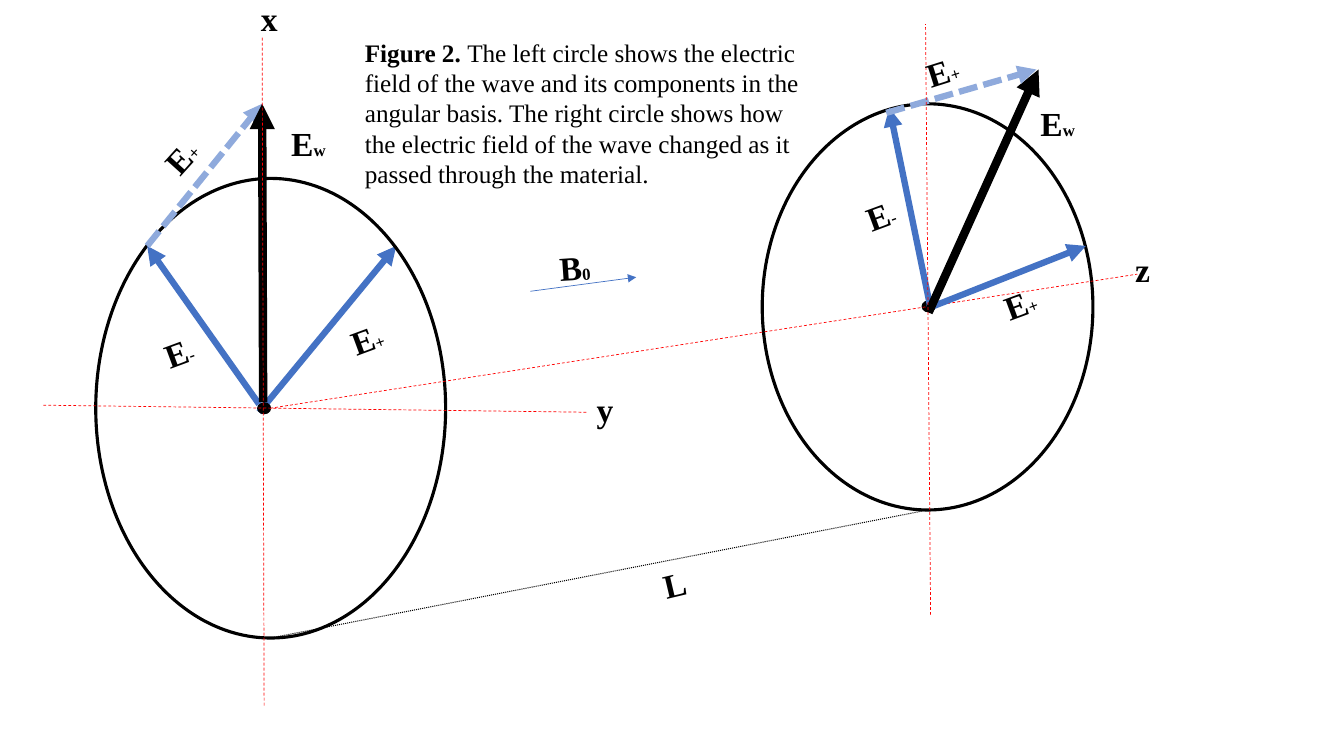
from typing import NamedTuple

from pptx import Presentation
from pptx.dml.color import RGBColor
from pptx.enum.dml import MSO_LINE
from pptx.enum.shapes import MSO_CONNECTOR, MSO_SHAPE
from pptx.enum.text import MSO_AUTO_SIZE, PP_ALIGN
from pptx.oxml.ns import qn
from pptx.slide import Slide
from pptx.util import Inches, Length, Pt
from lxml.etree import SubElement

COLUMNS, ROWS = 13.33, 7.5  # grid cells of one inch
CELL = Inches(1)
FONT = "Times New Roman"
BLACK, RED, BLUE, PALE_BLUE = "000000", "FF0000", "4472C4", "8FAADC"
LABEL_HEIGHT = 0.5


class Stroke(NamedTuple):
    start: tuple[float, float]
    end: tuple[float, float]
    color: str
    points: float
    dash: MSO_LINE | None = None
    arrow: bool = False


class Oval(NamedTuple):
    left: float
    top: float
    width: float
    height: float
    filled: bool = False


class Label(NamedTuple):
    left: float
    top: float
    width: float
    symbol: str
    index: str = ""
    rotation: float = 0


class Span(NamedTuple):
    text: str
    points: float
    bold: bool = True


def axis(start: tuple[float, float], end: tuple[float, float]) -> Stroke:
    return Stroke(start, end, RED, 0.5, MSO_LINE.DASH)


def component(start: tuple[float, float], end: tuple[float, float]) -> Stroke:
    return Stroke(start, end, BLUE, 4.5, arrow=True)


def shifted(start: tuple[float, float], end: tuple[float, float]) -> Stroke:
    """Dashed component moved to the head of the other one."""
    return Stroke(start, end, PALE_BLUE, 4.5, MSO_LINE.SQUARE_DOT, True)


def total(start: tuple[float, float], end: tuple[float, float]) -> Stroke:
    return Stroke(start, end, BLACK, 6, arrow=True)


BACK_STROKES = [component((2.57, 4.09), (3.93, 2.44))]
OVALS = [
    Oval(0.95, 1.77, 3.47, 4.56),
    Oval(7.56, 1.03, 3.28, 4.03),
    Oval(2.55, 3.99, 0.14, 0.12, filled=True),
    Oval(9.14, 2.98, 0.14, 0.12, filled=True),
]
FRONT_STROKES = [
    Stroke((2.68, 6.33), (9.2, 5.06), BLACK, 0.75, MSO_LINE.ROUND_DOT),
    axis((2.68, 4.05), (11.28, 2.72)),
    component((2.57, 4.01), (1.46, 2.44)),
    shifted((1.46, 2.44), (2.6, 1.03)),
    total((2.61, 3.99), (2.6, 1.03)),
    component((9.23, 3.06), (8.82, 1.07)),
    component((9.2, 3.06), (10.77, 2.44)),
    total((9.21, 3.1), (10.3, 0.69)),
    shifted((8.79, 1.12), (10.28, 0.69)),
    axis((0.43, 4.02), (5.83, 4.09)),
    axis((2.62, 7), (2.6, 0.37)),
    axis((9.23, 6.1), (9.18, 0.24)),
    Stroke((5.26, 2.89), (6.31, 2.75), BLUE, 0.5, arrow=True),
]
LABELS = [
    Label(6.48, 5.55, 0.37, "L", rotation=346.7),
    Label(3.37, 3.04, 0.93, "E", "+", 339.7),
    Label(1.53, 3.22, 0.61, "E", "-", 339.7),
    Label(1.47, 1.15, 0.93, "E", "+", 312.1),
    Label(2.79, 1.17, 0.93, "E", "w"),
    Label(8.49, 1.86, 0.61, "E", "-", 339.7),
    Label(9.85, 2.69, 0.93, "E", "+", 339.7),
    Label(9.08, 0.39, 0.93, "E", "+", 342.4),
    Label(10.22, 0.97, 0.93, "E", "w"),
    Label(2.49, -0.07, 0.37, "x"),
    Label(5.82, 3.81, 0.37, "y"),
    Label(11.16, 2.42, 0.37, "z"),
    Label(5.45, 2.4, 0.53, "B", "0", 356.1),
]
CAPTION = [
    Span("Figure 2. ", 18),
    Span(
        "The left circle shows the electric field of the wave and its components "
        "in the angular basis. The right circle shows how the electric field of "
        "the wave changed as it passed through the material.", 18, bold=False),
]


def cells(*counts: float) -> list[Length]:
    return [Length(round(count * CELL)) for count in counts]


def rgb(color: str) -> RGBColor:
    return RGBColor.from_string(color)


def draw_stroke(page: Slide, stroke: Stroke) -> None:
    connector = page.shapes.add_connector(
        MSO_CONNECTOR.STRAIGHT, *cells(*stroke.start, *stroke.end))
    connector.line.color.rgb = rgb(stroke.color)
    connector.line.width = Pt(stroke.points)
    if stroke.dash is not None:
        connector.line.dash_style = stroke.dash
    properties = connector._element.spPr
    if stroke.arrow:
        SubElement(properties.find(qn("a:ln")), qn("a:tailEnd"), type="triangle")
    SubElement(properties, qn("a:effectLst"))


def draw_oval(page: Slide, oval: Oval) -> None:
    shape = page.shapes.add_shape(
        MSO_SHAPE.OVAL, *cells(oval.left, oval.top, oval.width, oval.height))
    shape.shadow.inherit = False
    if oval.filled:
        shape.fill.solid()
        shape.fill.fore_color.rgb = rgb(BLACK)
        shape.line.fill.background()
    else:
        shape.fill.background()
        shape.line.color.rgb = rgb(BLACK)
        shape.line.width = Pt(2.25)


def draw_text(page: Slide, area: tuple[float, float, float, float],
              spans: list[Span], rotation: float = 0) -> None:
    box = page.shapes.add_textbox(*cells(*area))
    box.rotation = rotation
    box.text_frame.word_wrap = True
    box.text_frame.auto_size = MSO_AUTO_SIZE.SHAPE_TO_FIT_TEXT
    para = box.text_frame.paragraphs[0]
    para.alignment = PP_ALIGN.LEFT
    for span in spans:
        run = para.add_run()
        run.text = span.text
        run.font.name = FONT
        run.font.size = Pt(span.points)
        run.font.bold = span.bold
        run.font.color.rgb = rgb(BLACK)


def draw_label(page: Slide, label: Label) -> None:
    spans = [Span(label.symbol, 24)]
    if label.index:
        spans.append(Span(label.index, 12))
    area = (label.left, label.top, label.width, LABEL_HEIGHT)
    draw_text(page, area, spans, label.rotation)


def main() -> None:
    deck = Presentation()
    deck.slide_width, deck.slide_height = cells(COLUMNS, ROWS)
    page = deck.slides.add_slide(deck.slide_layouts[6])
    for stroke in BACK_STROKES:
        draw_stroke(page, stroke)
    for oval in OVALS:
        draw_oval(page, oval)
    for stroke in FRONT_STROKES:
        draw_stroke(page, stroke)
    for label in LABELS:
        draw_label(page, label)
    draw_text(page, (3.52, 0.32, 4.55, 1.62), CAPTION)
    deck.save("out.pptx")


if __name__ == "__main__":
    main()
